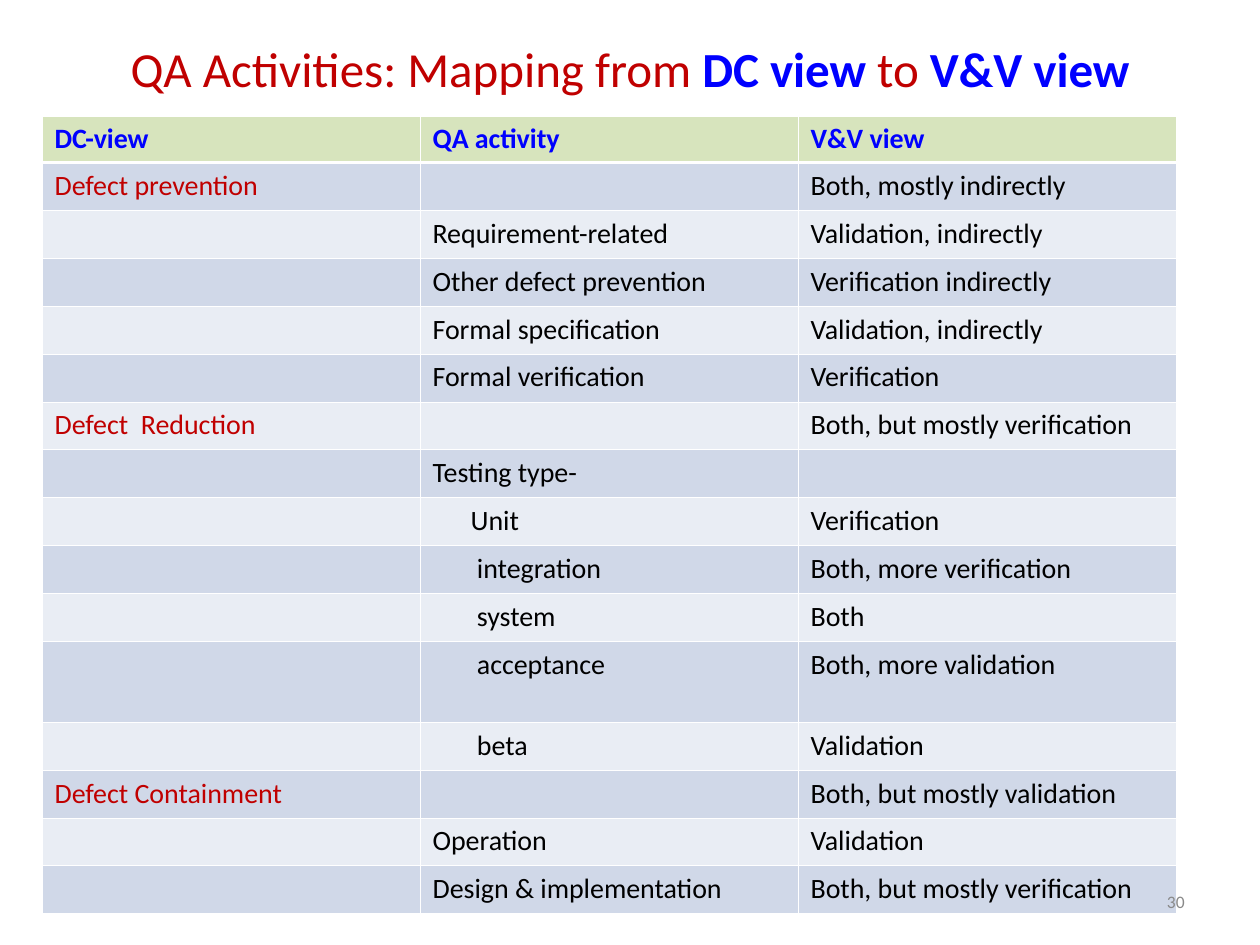
from dataclasses import dataclass

from lxml import etree
from pptx import Presentation, util as u
from pptx.dml.color import RGBColor
from pptx.enum import text
from pptx.oxml import ns

FONT = "Calibri"
RED, BLUE, BLACK, GREY, WHITE = "C00000", "0000FF", "000000", "898989", "FFFFFF"
HEADER_FILL, BANDS = "D7E4BD", ("D0D8E8", "E9EDF4")
HEADER_HEIGHT, ROW_HEIGHT, TALL_HEIGHT = 26.64, 27.36, 46.3
COLUMN_WIDTH = 216
THIN, THICK = 0.45, 1.47


@dataclass(frozen=True)
class Span:
    wording: str
    color: str
    bold: bool = False


@dataclass(frozen=True)
class Activity:
    defect_view: str
    name: str
    validation_view: str
    indent: float = 0
    height: float = ROW_HEIGHT


TITLE = (
    Span("QA Activities: Mapping from ", RED),
    Span("DC view", BLUE, True),
    Span(" to ", RED),
    Span("V&V view", BLUE, True),
)
ACTIVITIES = (
    Activity("DC-view", "QA activity", "V&V view", height=HEADER_HEIGHT),
    Activity("Defect prevention", "", "Both, mostly indirectly"),
    Activity("", "Requirement-related", "Validation, indirectly"),
    Activity("", "Other defect prevention", "Verification indirectly"),
    Activity("", "Formal specification", "Validation, indirectly"),
    Activity("", "Formal verification", "Verification"),
    Activity("Defect  Reduction", "", "Both, but mostly verification"),
    Activity("", "Testing type-", ""),
    Activity("", "Unit", "Verification", 21.7),
    Activity("", "integration", "Both, more verification", 25.3),
    Activity("", "system", "Both", 25.3),
    Activity("", "acceptance", "Both, more validation", 25.3, TALL_HEIGHT),
    Activity("", "beta", "Validation", 25.3),
    Activity("Defect Containment", "", "Both, but mostly validation"),
    Activity("", "Operation", "Validation"),
    Activity("", "Design & implementation", "Both, but mostly verification"),
)


def rgb(color: str) -> RGBColor:
    return RGBColor.from_string(color)


def format_run(run, size: float, color: str, bold: bool = False) -> None:
    run.font.name = FONT
    run.font.size = u.Pt(size)
    run.font.bold = bold
    run.font.color.rgb = rgb(color)


def add_text(slide, box: tuple, spans: tuple, size: float, alignment) -> None:
    shape = slide.shapes.add_textbox(*map(u.Pt, box))
    frame = shape.text_frame
    frame.word_wrap = True
    frame.vertical_anchor = text.MSO_ANCHOR.MIDDLE
    paragraph = frame.paragraphs[0]
    paragraph.alignment = alignment
    for span in spans:
        run = paragraph.add_run()
        run.text = span.wording
        format_run(run, size, span.color, span.bold)


def set_borders(cell, top: float, bottom: float) -> None:
    properties = cell._tc.get_or_add_tcPr()
    widths = {"a:lnL": THIN, "a:lnR": THIN, "a:lnT": top, "a:lnB": bottom}
    for position, (tag, width) in enumerate(widths.items()):
        line = etree.Element(ns.qn(tag), w=str(int(u.Pt(width))))
        fill = etree.SubElement(line, ns.qn("a:solidFill"))
        etree.SubElement(fill, ns.qn("a:srgbClr"), val=WHITE)
        properties.insert(position, line)


def fill_cell(cell, row: int, span: Span, indent: float) -> None:
    cell.fill.solid()
    cell.fill.fore_color.rgb = rgb(BANDS[(row - 1) % 2] if row else HEADER_FILL)
    set_borders(cell, THICK if row == 1 else THIN, THIN if row else THICK)
    paragraph = cell.text_frame.paragraphs[0]
    if not span.wording:
        etree.SubElement(paragraph._p, ns.qn("a:endParaRPr"), sz="1600")
        return
    paragraph.text = span.wording
    format_run(paragraph.runs[0], 16, span.color, span.bold)
    if indent:
        paragraph._p.get_or_add_pPr().set("marL", str(int(u.Pt(indent))))


def add_mapping_table(slide, left: float, top: float) -> None:
    height = sum(activity.height for activity in ACTIVITIES)
    box = map(u.Pt, (left, top, 3 * COLUMN_WIDTH, height))
    table = slide.shapes.add_table(len(ACTIVITIES), 3, *box).table
    for column in table.columns:
        column.width = u.Pt(COLUMN_WIDTH)
    for row, activity in enumerate(ACTIVITIES):
        table.rows[row].height = u.Pt(activity.height)
        wordings = (activity.defect_view, activity.name, activity.validation_view)
        for column, wording in enumerate(wordings):
            color = BLUE if row == 0 else BLACK if column else RED
            indent = activity.indent if column == 1 else 0
            fill_cell(table.cell(row, column), row, Span(wording, color, row == 0), indent)


def main() -> None:
    """Build the slide that maps QA activities between the two views."""
    presentation = Presentation()
    presentation.slide_width, presentation.slide_height = u.Pt(720), u.Pt(540)
    slide = presentation.slides.add_slide(presentation.slide_layouts[6])
    add_text(slide, (36, 18, 648, 42), TITLE, 28, text.PP_ALIGN.CENTER)
    add_mapping_table(slide, 24, 66.24)
    number = (Span("30", GREY),)
    add_text(slide, (516, 500.5, 168, 28.8), number, 10, text.PP_ALIGN.RIGHT)
    presentation.save("out.pptx")


if __name__ == "__main__":
    main()
